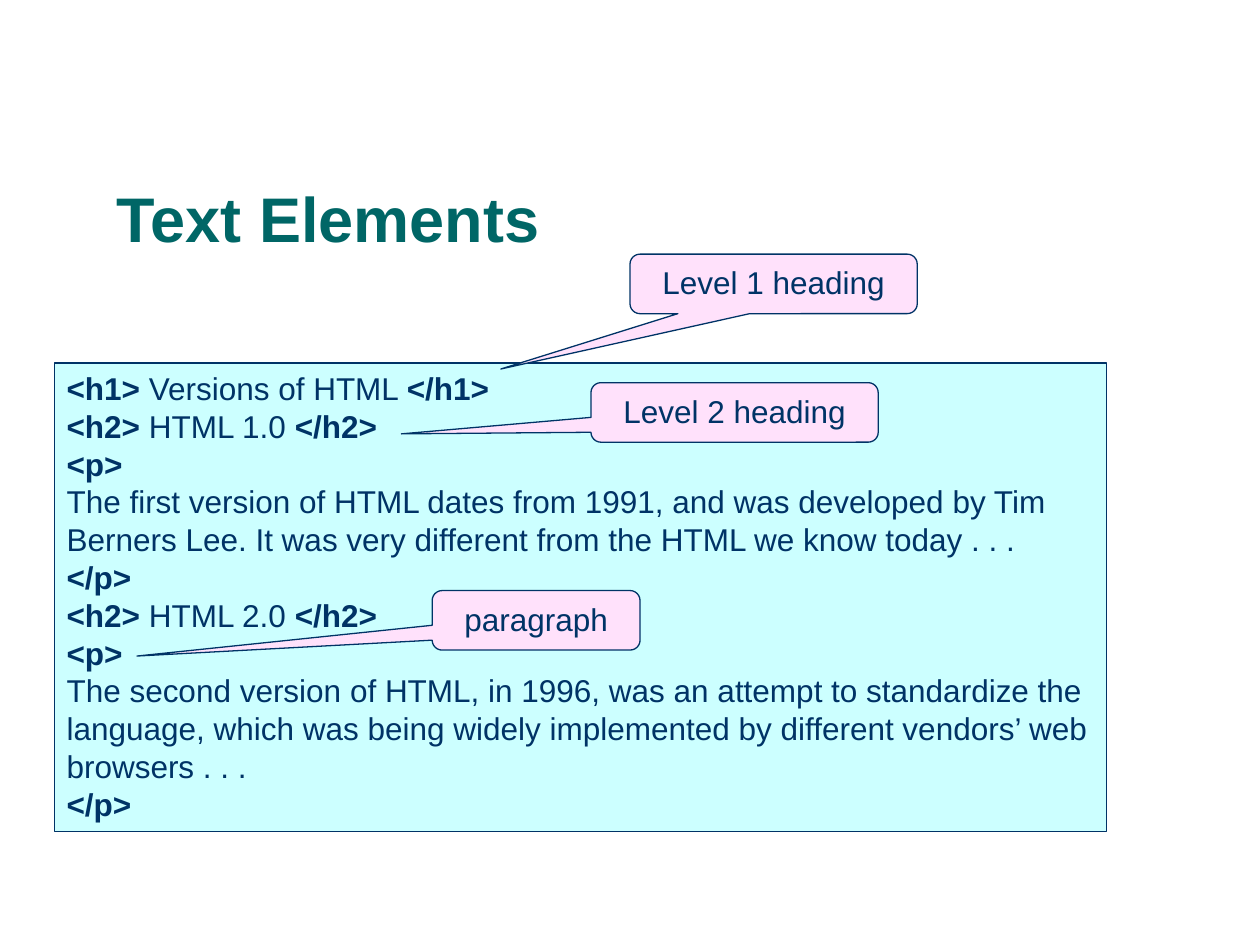
from pptx import Presentation
from pptx.dml.color import RGBColor
from pptx.enum.shapes import MSO_SHAPE
from pptx.enum.text import MSO_ANCHOR, PP_ALIGN
from pptx.util import Inches, Pt

FONT = "Arial"
COLORS = {"title": "006666", "ink": "003366", "code": "CCFFFF", "callout": "FFE1FB"}
WIDTH, HEIGHT = Inches(10), Inches(7.5)

# Each paragraph is a list of (text, bold) runs
CODE = [
    [("<h1> ", True), ("Versions of HTML ", False), ("</h1>", True)],
    [("<h2>", True), (" HTML 1.0 ", False), ("</h2>", True)],
    [("<p>", True)],
    [("The first version of HTML dates from 1991, and was developed by Tim "
      "Berners Lee. It was very different from the HTML we know today . . .", False)],
    [("</p>", True)],
    [("<h2>", True), (" HTML 2.0 ", False), ("</h2>", True)],
    [("<p>", True)],
    [("The second version of HTML, in 1996, was an attempt to standardize the "
      "language, which was being widely implemented by different vendors’ web "
      "browsers . . .", False)],
    [("</p>", True)],
]

# Label, left, top and width as shares of the slide, pointer tip offsets
CALLOUTS = [
    ("Level 1 heading", 0.5, 0.269, 0.228, (-0.95, 1.43)),
    ("Level 2 heading", 0.469, 0.405, 0.228, (-1.16, 0.36)),
    ("paragraph", 0.343, 0.625, 0.165, (-1.92, 0.6)),
]
CALLOUT_HEIGHT = 0.063


def place(x, y, w, h):
    """Turn shares of the slide into lengths."""
    return int(x * WIDTH), int(y * HEIGHT), int(w * WIDTH), int(h * HEIGHT)


def write(sp, paragraphs, size=18, color="ink", align=PP_ALIGN.LEFT, anchor=MSO_ANCHOR.TOP):
    tf = sp.text_frame
    tf.word_wrap = True
    tf.vertical_anchor = anchor
    for i, runs in enumerate(paragraphs):
        p = tf.paragraphs[0] if i == 0 else tf.add_paragraph()
        p.alignment = align
        for text, bold in runs:
            r = p.add_run()
            r.text = text
            r.font.name = FONT
            r.font.size = Pt(size)
            r.font.bold = bold
            r.font.color.rgb = RGBColor.from_string(COLORS[color])
    return tf


def add_panel(s, kind, box, fill):
    sp = s.shapes.add_shape(kind, *place(*box))
    sp.shadow.inherit = False
    sp.fill.solid()
    sp.fill.fore_color.rgb = RGBColor.from_string(COLORS[fill])
    sp.line.color.rgb = RGBColor.from_string(COLORS["ink"])
    sp.line.width = Pt(0.75)
    return sp


def add_title(s, text):
    sp = s.shapes.add_textbox(*place(0.083, 0.111, 0.867, 0.167))
    tf = write(sp, [[(text, True)]], 36, "title", anchor=MSO_ANCHOR.BOTTOM)
    tf.paragraphs[0].line_spacing = 0.9


def add_callout(s, label, x, y, w, tip):
    sp = add_panel(s, MSO_SHAPE.ROUNDED_RECTANGULAR_CALLOUT,
                   (x, y, w, CALLOUT_HEIGHT), "callout")
    sp.adjustments[0], sp.adjustments[1] = tip
    write(sp, [[(label, False)]], align=PP_ALIGN.CENTER)


def main():
    prs = Presentation()
    prs.slide_width, prs.slide_height = WIDTH, HEIGHT
    s = prs.slides.add_slide(prs.slide_layouts[6])
    add_title(s, "Text Elements")
    code = add_panel(s, MSO_SHAPE.RECTANGLE, (0.043, 0.384, 0.835, 0.496), "code")
    write(code, CODE)
    for callout in CALLOUTS:
        add_callout(s, *callout)
    prs.save("out.pptx")


if __name__ == "__main__":
    main()
